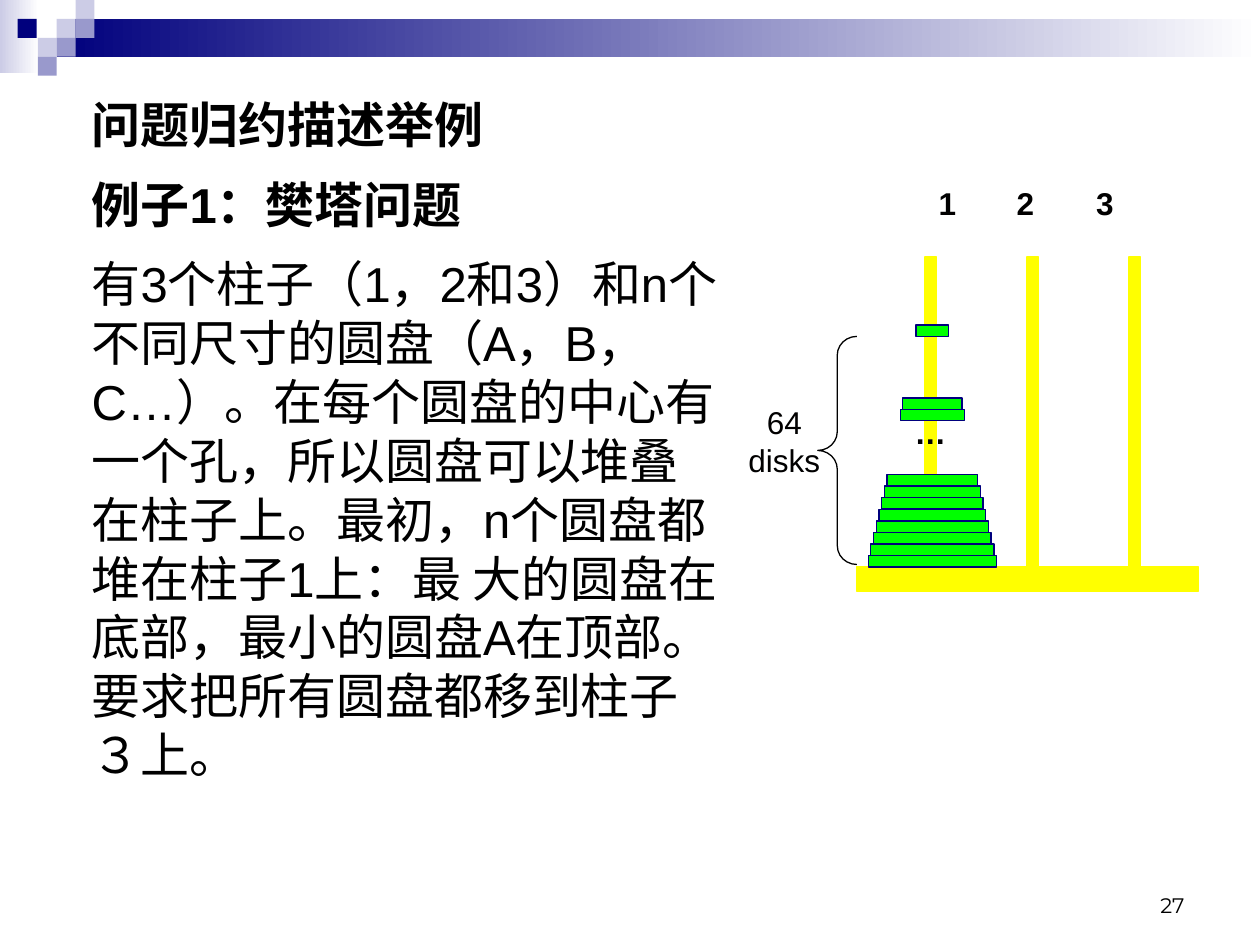
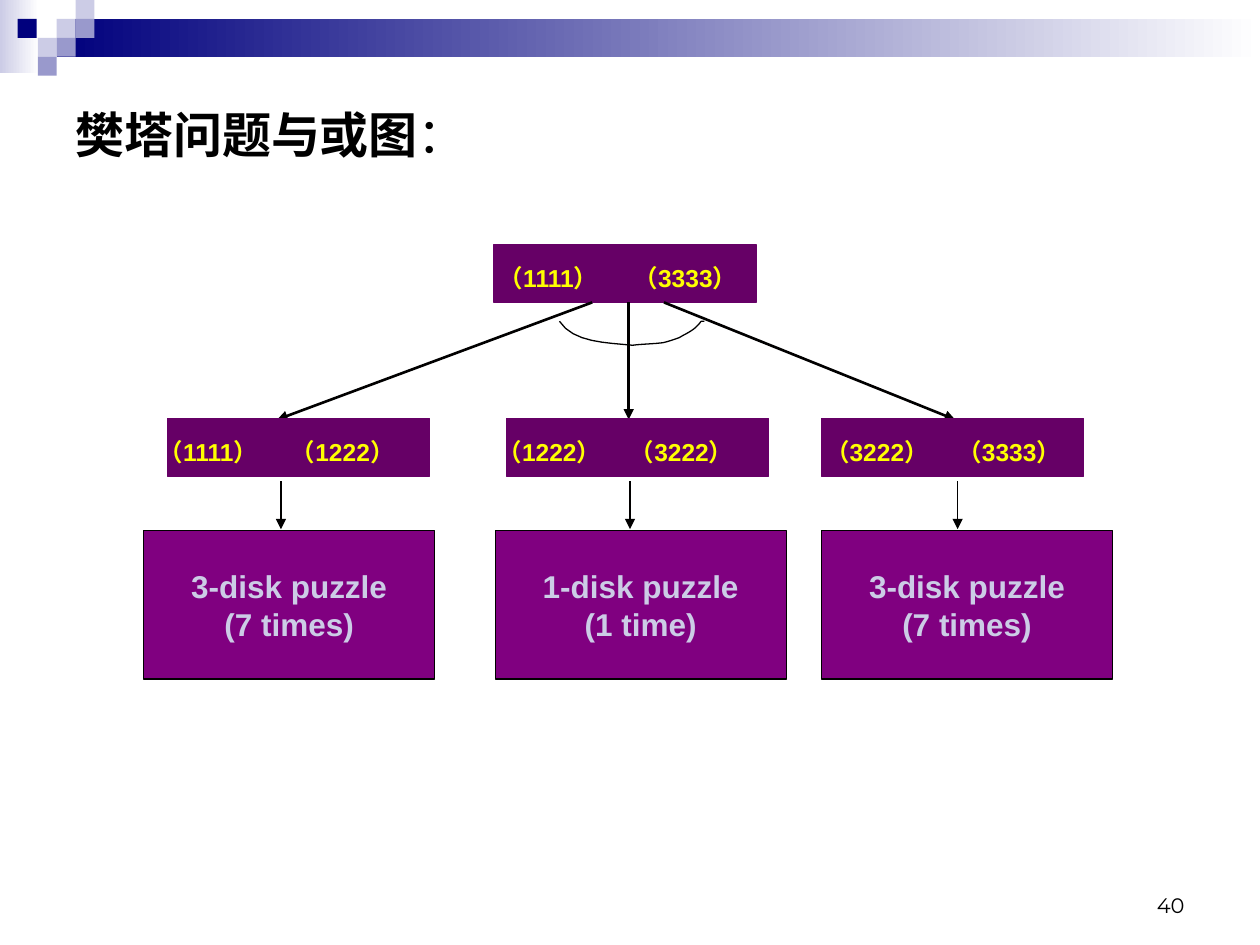
from lxml.etree import SubElement
from pptx import Presentation
from pptx.dml.color import RGBColor
from pptx.enum.shapes import MSO_CONNECTOR, MSO_SHAPE
from pptx.enum.text import MSO_ANCHOR, PP_ALIGN
from pptx.oxml.ns import qn
from pptx.util import Inches, Pt

NAVY = RGBColor(0x00, 0x00, 0x7D)
PALE = RGBColor(0xCC, 0xCC, 0xE6)
MID = RGBColor(0x99, 0x99, 0xCC)
WHITE = RGBColor(0xFF, 0xFF, 0xFF)
BLACK = RGBColor(0x00, 0x00, 0x00)
INK = RGBColor(0x01, 0x00, 0x00)
YELLOW = RGBColor(0xFF, 0xFF, 0x00)
GREEN = RGBColor(0x00, 0xFF, 0x00)
PLUM = RGBColor(0x66, 0x00, 0x66)
PURPLE = RGBColor(0x80, 0x00, 0x80)

COLS, ROWS = 100, 75
TILE = 1.5
TILES = [(4.5, 1.5, PALE), (6, 0, PALE), (6, 1.5, MID), (3, 3, PALE),
         (1.4, 1.5, NAVY), (4.5, 3, MID), (3, 4.5, MID)]


class Deck:
    """Holds the style and the current slide; lengths are columns and rows."""

    def __init__(self):
        self.prs = Presentation()
        self.prs.slide_width, self.prs.slide_height = Inches(10), Inches(7.5)
        self.col = self.prs.slide_width / COLS
        self.row = self.prs.slide_height / ROWS

    def across(self, cols):
        return round(cols * self.col)

    def down(self, rows):
        return round(rows * self.row)

    def area(self, x, y, w, h):
        return self.across(x), self.down(y), self.across(w), self.down(h)

    def start(self, number):
        """Adds a slide with the top band, the tiles and the page number."""
        self.slide = self.prs.slides.add_slide(self.prs.slide_layouts[6])
        self.shapes = self.slide.shapes
        self.fade(0, 0, 3.1, 5.8, PALE)
        self.fade(4.5, 1.5, 95.5, 3, NAVY)
        for x, y, color in TILES:
            self.rect(x, y, TILE, TILE, color)
        self.text(71.7, 68.3, 23.3, 5, [number], 12, font="Montserrat",
                  align=PP_ALIGN.RIGHT, anchor=MSO_ANCHOR.BOTTOM)

    def rect(self, x, y, w, h, color, edge=None, kind=MSO_SHAPE.RECTANGLE):
        box = self.shapes.add_shape(kind, *self.area(x, y, w, h))
        box.shadow.inherit = False
        if color is None:
            box.fill.background()
        else:
            box.fill.solid()
            box.fill.fore_color.rgb = color
        if edge is None:
            box.line.fill.background()
        else:
            box.line.color.rgb = edge
            box.line.width = Pt(0.75)
        return box

    def fade(self, x, y, w, h, color):
        fill = self.rect(x, y, w, h, color).fill
        fill.gradient()
        fill.gradient_angle = 0
        for stop, shade in zip(fill.gradient_stops, (color, WHITE)):
            stop.color.rgb = shade

    def text(self, x, y, w, h, lines, size, pad=(1, 1), **look):
        box = self.shapes.add_textbox(*self.area(x, y, w, h))
        frame = box.text_frame
        frame.margin_left, frame.margin_right = map(self.across, pad)
        return self.letter(frame, lines, size, **look)

    def letter(self, frame, lines, size, color=BLACK, bold=False, font="Arial",
               align=PP_ALIGN.LEFT, anchor=MSO_ANCHOR.TOP, gap=0, tabs=()):
        frame.word_wrap = True
        frame.vertical_anchor = anchor
        for i, line in enumerate(lines):
            para = frame.add_paragraph() if i else frame.paragraphs[0]
            para.text = line
            para.alignment = align
            if gap and i:
                para.space_before = Pt(gap)
            if tabs:
                stops = SubElement(para._p.get_or_add_pPr(), qn("a:tabLst"))
                for stop in tabs:
                    SubElement(stops, qn("a:tab"), algn="l",
                               pos=str(self.across(stop)))
            face = para.font
            face.name, face.size, face.bold = font, Pt(size), bold
            face.color.rgb = color
        return frame.paragraphs

    def arrow(self, x, y, to_x, to_y, width):
        line = self.shapes.add_connector(
            MSO_CONNECTOR.STRAIGHT, *self.area(x, y, to_x, to_y))
        line.line.color.rgb = INK
        line.line.width = Pt(width)
        props = line.element.spPr
        SubElement(props.find(qn("a:ln")), qn("a:tailEnd"), type="triangle")
        SubElement(props, qn("a:effectLst"))

    def curve(self, start, bends, steps=8):
        """Draws joined cubic bends, each given as two handles and an end."""
        dots, last = [], start
        for bend in bends:
            a, b, c, d = last, *bend
            for i in range(1, steps + 1):
                t = i / steps
                u = 1 - t
                dots.append(tuple(
                    u**3 * p + 3 * u * u * t * q + 3 * u * t * t * r + t**3 * s
                    for p, q, r, s in zip(a, b, c, d)))
            last = d
        pen = self.shapes.build_freeform(
            self.across(start[0]), self.down(start[1]))
        pen.add_line_segments(
            [(self.across(x), self.down(y)) for x, y in dots], close=False)
        arc = pen.convert_to_shape()
        arc.shadow.inherit = False
        arc.fill.background()
        arc.line.color.rgb = INK
        arc.line.width = Pt(0.75)

    def state(self, x, y, label_x, pair, tab=10.5):
        """Draws a node with its start and goal states."""
        self.rect(x, y, 20.8, 4.6, PLUM, PLUM)
        self.text(label_x, y + 1, 21.7, 3.3, ["\t".join(pair)], 14, pad=(1, 0),
                  color=YELLOW, bold=True, tabs=[tab])


def tower(deck):
    deck.start("27")
    paras = deck.text(6.3, 7, 52.3, 59.4, [
        "问题归约描述举例",
        "例子1：樊塔问题",
        "有3个柱子（1，2和3）和n个不同尺寸的圆盘（A，B，C…）。"
        "在每个圆盘的中心有一个孔，所以圆盘可以堆叠在柱子上。"
        "最初，n个圆盘都堆在柱子1上：最 大的圆盘在底部，"
        "最小的圆盘A在顶部。要求把所有圆盘都移到柱子３上。",
    ], 28, bold=True, gap=12)
    paras[2].font.bold = False

    # Base and pegs
    deck.rect(68, 45, 27.1, 1.9, YELLOW, YELLOW)
    for i in range(3):
        deck.rect(73.4 + 8.1 * i, 20.4, 0.9, 24.7, YELLOW, YELLOW)
    deck.text(73.5, 14.1, 15.9, 4, ["1\t2\t3"], 18, pad=(1, 0),
              color=INK, bold=True, tabs=[6.2, 12.5])
    deck.text(71.6, 32.3, 4.5, 4, ["…"], 18, pad=(1, 0), color=INK, bold=True)

    # Disks, from the bottom up
    stack = [(44.1 - 0.92 * i, 10.2 - 0.43 * i) for i in range(8)]
    for y, w in stack + [(32.5, 5.1), (31.6, 4.7), (25.8, 2.6)]:
        deck.rect(74 - w / 2, y, w, 0.9, GREEN, NAVY)

    # Brace with its label
    deck.text(58.4, 31.5, 7.7, 7, ["64", "disks"], 18, pad=(0, 0), color=INK,
              align=PP_ALIGN.CENTER)
    brace = deck.rect(64.9, 26.7, 3.1, 18.1, None, BLACK, MSO_SHAPE.LEFT_BRACE)
    brace.adjustments[0] = 0.48


def graph(deck):
    deck.start("40")
    title = deck.text(5, 7.8, 90, 7.2, ["樊塔问题与或图"], 28, bold=True)[0]
    colon = title.add_run()
    colon.text = "："
    colon.font.bold = False

    # Root, its three branches and the AND arc
    deck.state(39.2, 19.4, 38.6, ("（1111）", "（3333）"), 10.7)
    for x, to_x in ((49.9, 49.9), (52.7, 75.8), (47, 22)):
        deck.arrow(x, 24, to_x, 33.3, 1.5)
    deck.curve((44.4, 25.5), [
        ((45.5, 27.2), (48.2, 27.2), (50.2, 27.4)),
        ((51, 27.3), (51.8, 27.3), (52.6, 27.2)),
        ((53.1, 27.1), (53.9, 26.8), (53.9, 26.8)),
        ((54.4, 26.5), (54.9, 26.3), (55.3, 25.9)),
        ((55.8, 25.4), (55.5, 25.5), (55.9, 25.5)),
    ])

    # Subproblems: node, label, puzzle and arrow columns
    for x, label_x, box_x, mid, pair, lines in (
        (13.3, 11.6, 11.4, 22.3, ("（1111）", "（1222）"),
         ["3-disk puzzle", "(7 times)"]),
        (40.2, 38.5, 39.3, 50, ("（1222）", "（3222）"),
         ["1-disk puzzle", "(1 time)"]),
        (65.2, 64.5, 65.2, 76, ("（3222）", "（3333）"),
         ["3-disk puzzle", "(7 times)"]),
    ):
        deck.state(x, 33.2, label_x, pair)
        box = deck.rect(box_x, 42.1, 23.1, 11.8, PURPLE, INK)
        deck.letter(box.text_frame, lines, 18, color=PALE, bold=True,
                    align=PP_ALIGN.CENTER, anchor=MSO_ANCHOR.MIDDLE)
        deck.arrow(mid, 38.2, mid, 42, 0.75)


def main():
    deck = Deck()
    tower(deck)
    graph(deck)
    deck.prs.save("out.pptx")


if __name__ == "__main__":
    main()
